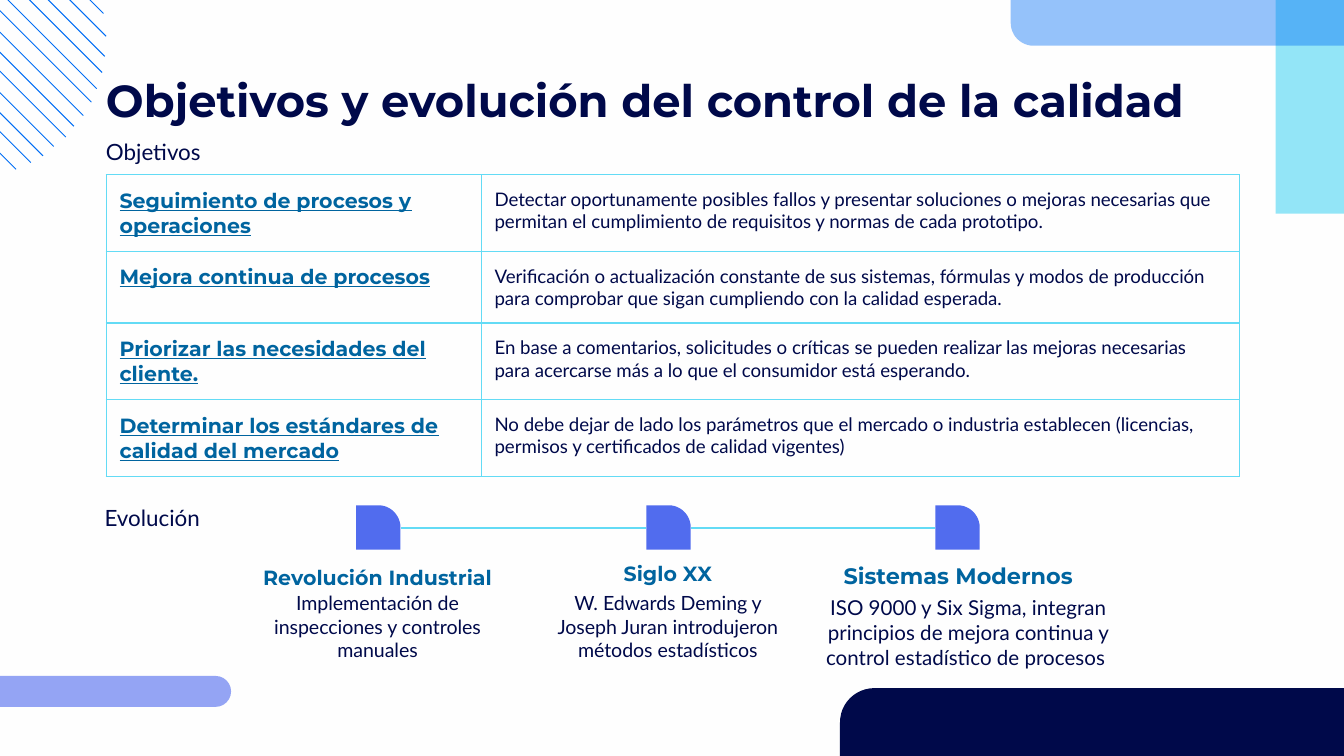
from lxml import etree
from pptx import Presentation
from pptx.dml.color import RGBColor
from pptx.enum.shapes import MSO_CONNECTOR as CONN, MSO_SHAPE as SHAPE
from pptx.enum.text import MSO_ANCHOR as ANCHOR, PP_ALIGN as ALIGN
from pptx.oxml import parse_xml
from pptx.oxml.ns import nsdecls, qn
from pptx.util import Pt

PX = 9144  # 100 px to the inch
NAVY, BLUE, TEAL, CYAN, VIOLET = "00094A", "006DF5", "00649F", "63DBF5", "516CEE"


def rgb(value):
    return RGBColor.from_string(value)


def write(tf, text, size, font="Lato", color=NAVY, bold=False, align=ALIGN.LEFT,
          anchor=ANCHOR.TOP):
    tf.word_wrap = True
    tf.vertical_anchor = anchor
    tf.margin_left = tf.margin_right = tf.margin_top = tf.margin_bottom = 10 * PX
    p = tf.paragraphs[0]
    p.text = text
    p.alignment = align
    f = p.font
    f.size, f.name, f.bold = Pt(size), font, bold
    f.color.rgb = rgb(color)


prs = Presentation()
prs.slide_width = 1000 * PX
prs.slide_height = prs.slide_width * 9 // 16
s = prs.slides.add_slide(prs.slide_layouts[6])
s.background.fill.solid()
s.background.fill.fore_color.rgb = rgb("FEFEFE")

# Corner blocks and timeline markers: kind, box, colour, opacity %, rotation, mirrored
MARKER_X = [265, 481, 696]
blocks = [
    (SHAPE.RECTANGLE, (949, 0, 51, 159), CYAN, 69, 180, False),
    (SHAPE.ROUND_1_RECTANGLE, (752, 0, 248, 34), BLUE, 41, 180, False),
    (SHAPE.ROUNDED_RECTANGLE, (-34, 503, 206, 23), VIOLET, 61, 0, False),
    (SHAPE.ROUND_1_RECTANGLE, (625, 512, 375, 51), NAVY, 100, 0, True),
]
blocks += [(SHAPE.ROUND_1_RECTANGLE, (x, 376, 33, 33), VIOLET, 100, 0, False)
           for x in MARKER_X]
for kind, box, color, opacity, rotation, mirrored in blocks:
    sp = s.shapes.add_shape(kind, *[v * PX for v in box])
    sp.shadow.inherit = False
    sp.line.fill.background()
    sp.fill.solid()
    sp.fill.fore_color.rgb = rgb(color)
    sp.rotation = rotation
    if kind != SHAPE.RECTANGLE:
        sp.adjustments[0] = 0.5
    if mirrored:
        sp._element.spPr.find(qn("a:xfrm")).set("flipH", "1")
    if opacity < 100:
        clr = sp._element.spPr.find(".//" + qn("a:srgbClr"))
        etree.SubElement(clr, qn("a:alpha")).set("val", str(opacity * 1000))

# Diagonal stripes at 45 degrees: start x, start y, extent
stripes = [
    (-5, -72, 82), (-22, -74, 101), (-37, -73, 115), (-49, -71, 125), (-61, -67, 133),
    (-71, -63, 139), (-81, -57, 143), (-90, -51, 145), (-97, -44, 146), (-105, -36, 145),
    (-111, -27, 143), (-116, -18, 139), (-121, -7, 133),
]
lines = [(x, y, x + n, y + n, BLUE, 0.5) for x, y, n in stripes]
# Timeline links between neighbouring markers
lines += [(a + 33, 393, b, 393, CYAN, 0.75) for a, b in zip(MARKER_X, MARKER_X[1:])]
for x1, y1, x2, y2, color, width in lines:
    c = s.shapes.add_connector(CONN.STRAIGHT, x1 * PX, y1 * PX, x2 * PX, y2 * PX)
    c.line.color.rgb = rgb(color)
    c.line.width = Pt(width)
    etree.SubElement(c._element.spPr, qn("a:effectLst"))

# Title, section labels and timeline captions
HEAD = dict(font="Montserrat", bold=True)
STAGE = dict(HEAD, color=TEAL, align=ALIGN.CENTER, anchor=ANCHOR.BOTTOM)
BODY = dict(align=ALIGN.CENTER)
texts = [
    ((69, 44, 842, 63), "Objetivos y evolución del control de la calidad", 24, HEAD),
    ((69, 93, 843, 40), "Objetivos", 12, {}),
    ((68, 365, 102, 40), "Evolución", 12, {}),
    ((184, 404, 194, 44), "Revolución Industrial", 11, STAGE),
    ((400, 417, 194, 28), "Siglo XX", 11, STAGE),
    ((616, 404, 194, 44), "Sistemas Modernos", 12, STAGE),
    ((184, 430, 194, 44), "Implementación de inspecciones y controles manuales", 10.5, BODY),
    ((400, 430, 194, 44),
     "W. Edwards Deming y Joseph Juran introdujeron métodos estadísticos", 10.5, BODY),
    ((599, 433, 243, 44), "ISO 9000 y Six Sigma, integran principios de mejora continua y "
     "control estadístico de procesos ", 11, BODY),
]
for box, text, size, style in texts:
    tb = s.shapes.add_textbox(*[v * PX for v in box])
    write(tb.text_frame, text, size, **style)

# Objectives table
rows = [
    ("Seguimiento de procesos y operaciones",
     "Detectar oportunamente posibles fallos y presentar soluciones o mejoras necesarias "
     "que permitan el cumplimiento de requisitos y normas de cada prototipo."),
    ("Mejora continua de procesos",
     "Verificación o actualización constante de sus sistemas, fórmulas y modos de "
     "producción para comprobar que sigan cumpliendo con la calidad esperada."),
    ("Priorizar las necesidades del cliente.",
     "En base a comentarios, solicitudes o críticas se pueden realizar las mejoras "
     "necesarias para acercarse más a lo que el consumidor está esperando."),
    ("Determinar los estándares de calidad del mercado",
     "No debe dejar de lado los parámetros que el mercado o industria establecen "
     "(licencias, permisos y certificados de calidad vigentes)"),
]
table = s.shapes.add_table(4, 2, 79 * PX, 130 * PX, 843 * PX, 224 * PX).table
table.first_row = table.horz_banding = False
for col, width in zip(table.columns, (279, 564)):
    col.width = width * PX
for row, height in zip(table.rows, (57, 53, 57, 57)):
    row.height = height * PX
for i, (goal, detail) in enumerate(rows):
    left, right = table.cell(i, 0), table.cell(i, 1)
    write(left.text_frame, goal, 11, color=TEAL, **HEAD)
    left.text_frame.paragraphs[0].font.underline = True
    write(right.text_frame, detail, 10)
    right.text_frame.paragraphs[0].space_after = Pt(16)
    for cell in (left, right):
        cell.margin_left = cell.margin_right = 10 * PX
        cell.margin_top = cell.margin_bottom = 10 * PX
        for side in "LRTB":
            cell._tc.get_or_add_tcPr().append(parse_xml(
                f'<a:ln{side} {nsdecls("a")} w="9525"><a:solidFill>'
                f'<a:srgbClr val="{CYAN}"/></a:solidFill></a:ln{side}>'))
        cell.fill.background()

prs.save("out.pptx")
